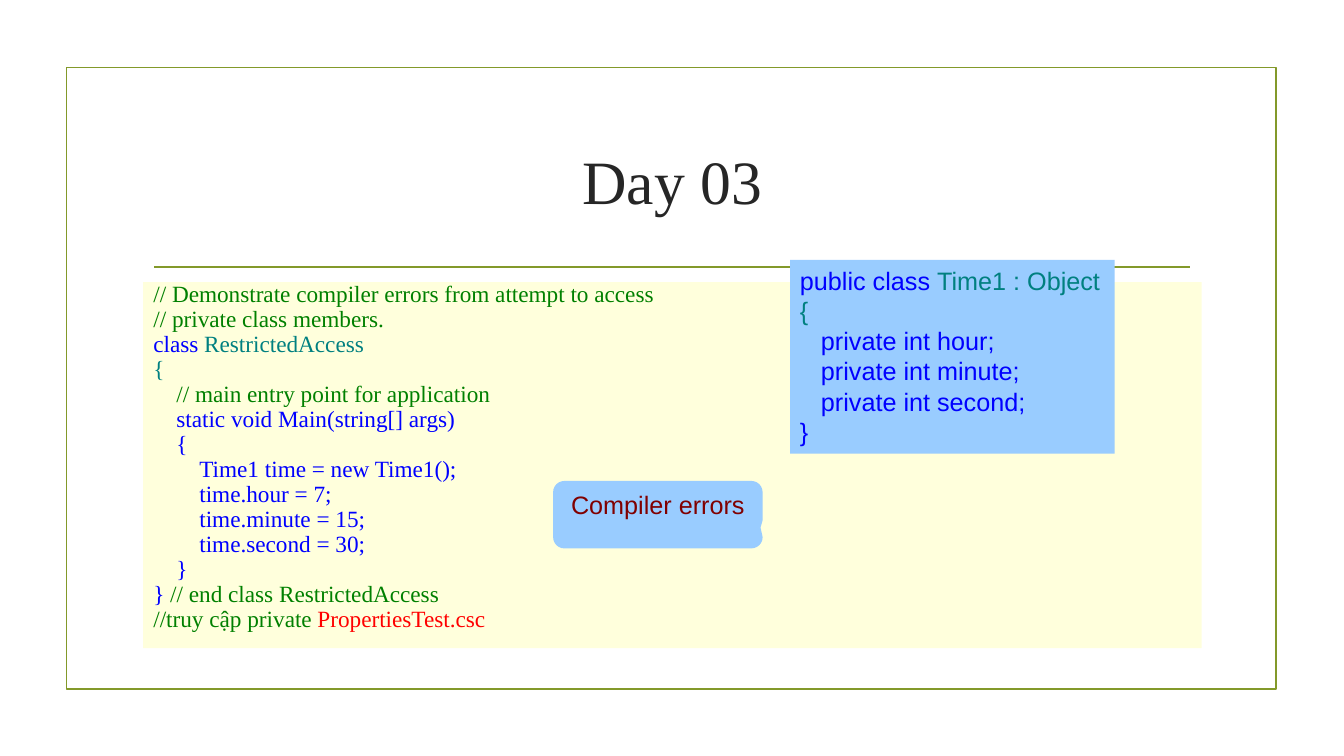
from pptx import Presentation
from pptx.dml.color import RGBColor
from pptx.enum.shapes import MSO_CONNECTOR, MSO_SHAPE
from pptx.enum.text import MSO_ANCHOR, MSO_AUTO_SIZE, PP_ALIGN
from pptx.oxml.ns import qn
from pptx.util import Cm, Pt
from lxml.etree import SubElement

OLIVE = RGBColor(0x83, 0x99, 0x2A)
DARK = RGBColor(0x26, 0x26, 0x26)
CREAM = RGBColor(0xFF, 0xFF, 0xDC)
SKY = RGBColor(0x99, 0xCC, 0xFF)
GREEN = RGBColor(0x00, 0x80, 0x00)
BLUE = RGBColor(0x00, 0x00, 0xFF)
TEAL = RGBColor(0x00, 0x80, 0x80)
RED = RGBColor(0xFF, 0x00, 0x00)
MAROON = RGBColor(0x80, 0x00, 0x00)
SERIF, SANS = "Times New Roman", "Arial"

# Each line: indent level, then (text, colour) runs
TITLE = [(0, [("Day 03", DARK)])]
MAIN_CODE = [
    (0, [("// Demonstrate compiler errors from attempt to access", GREEN)]),
    (0, [("// private class members.", GREEN)]),
    (0, [("class ", BLUE), ("RestrictedAccess", TEAL)]),
    (0, [("{", TEAL)]),
    (1, [("// main entry point for application", GREEN)]),
    (1, [("static void Main(string[] args)", BLUE)]),
    (1, [("{", BLUE)]),
    (2, [("Time1 time = new Time1();", BLUE)]),
    (2, [("time.hour = 7;", BLUE)]),
    (2, [("time.minute = 15;", BLUE)]),
    (2, [("time.second = 30;", BLUE)]),
    (1, [("}", BLUE)]),
    (0, [("} ", BLUE), ("// end class RestrictedAccess", GREEN)]),
    (0, [("//truy cập private ", GREEN), ("PropertiesTest.csc", RED)]),
]
TIME_CODE = [
    (0, [("public class ", BLUE), ("Time1 : Object", TEAL)]),
    (0, [("{", TEAL)]),
    (1, [("private int hour;", BLUE)]),
    (1, [("private int minute;", BLUE)]),
    (1, [("private int second;", BLUE)]),
    (0, [("}", BLUE)]),
]
CALLOUT = [(0, [("Compiler errors", MAROON)])]


def write(sp, lines, font, size, align=PP_ALIGN.LEFT, anchor=MSO_ANCHOR.TOP,
          step=Cm(0), spacing=1.0, before=0, wrap=True):
    tf = sp.text_frame
    tf.word_wrap = wrap
    tf.auto_size = MSO_AUTO_SIZE.NONE
    tf.vertical_anchor = anchor
    for i, (level, runs) in enumerate(lines):
        p = tf.add_paragraph() if i else tf.paragraphs[0]
        p.alignment = align
        p.line_spacing = spacing
        p.space_before = Pt(before)
        pPr = p._p.get_or_add_pPr()
        pPr.set("marL", str(level * step))
        pPr.set("indent", "0")
        SubElement(pPr, qn("a:buNone"))
        for text, colour in runs:
            r = p.add_run()
            r.text = text
            r.font.name = font
            r.font.size = Pt(size)
            r.font.color.rgb = colour


def place(sp, left, top, width, height):
    sp.left, sp.top, sp.width, sp.height = map(Cm, (left, top, width, height))


def add_box(s, kind, box, fill=None, line=None):
    sp = s.shapes.add_shape(kind, *map(Cm, box))
    sp.shadow.inherit = False
    if fill is None:
        sp.fill.background()
    else:
        sp.fill.solid()
        sp.fill.fore_color.rgb = fill
    if line is None:
        sp.line.fill.background()
    else:
        sp.line.color.rgb = line
        sp.line.width = Pt(1.25)
    return sp


def main():
    prs = Presentation()
    prs.slide_width, prs.slide_height = Cm(33.87), Cm(19.05)
    s = prs.slides.add_slide(prs.slide_layouts[1])

    add_box(s, MSO_SHAPE.RECTANGLE, (1.68, 1.7, 30.48, 15.67), line=OLIVE)
    rule = s.shapes.add_connector(MSO_CONNECTOR.STRAIGHT,
                                  Cm(3.89), Cm(6.73), Cm(30), Cm(6.73))
    rule.line.color.rgb = OLIVE
    rule.line.width = Pt(1.25)
    SubElement(rule._element.spPr, qn("a:effectLst"))

    title, body = s.placeholders
    place(title, 3.61, 2.72, 26.67, 3.63)
    write(title, TITLE, SERIF, 44, align=PP_ALIGN.CENTER, anchor=MSO_ANCHOR.MIDDLE)

    place(body, 3.61, 7.11, 26.67, 9.22)
    body.fill.solid()
    body.fill.fore_color.rgb = CREAM
    write(body, MAIN_CODE, SERIF, 16.6, step=Cm(0.58), spacing=0.7, before=3.9)

    callout = add_box(s, MSO_SHAPE.ROUNDED_RECTANGULAR_CALLOUT,
                      (13.94, 12.12, 5.28, 1.7), fill=SKY)
    callout.adjustments[0] = 0.49
    callout.adjustments[1] = 0.19
    write(callout, CALLOUT, SANS, 18, align=PP_ALIGN.CENTER)

    time_box = add_box(s, MSO_SHAPE.RECTANGLE, (19.91, 6.55, 8.18, 4.88), fill=SKY)
    write(time_box, TIME_CODE, SANS, 18, step=Cm(0.53), spacing=Pt(21.6), wrap=False)

    prs.save("out.pptx")


if __name__ == "__main__":
    main()
